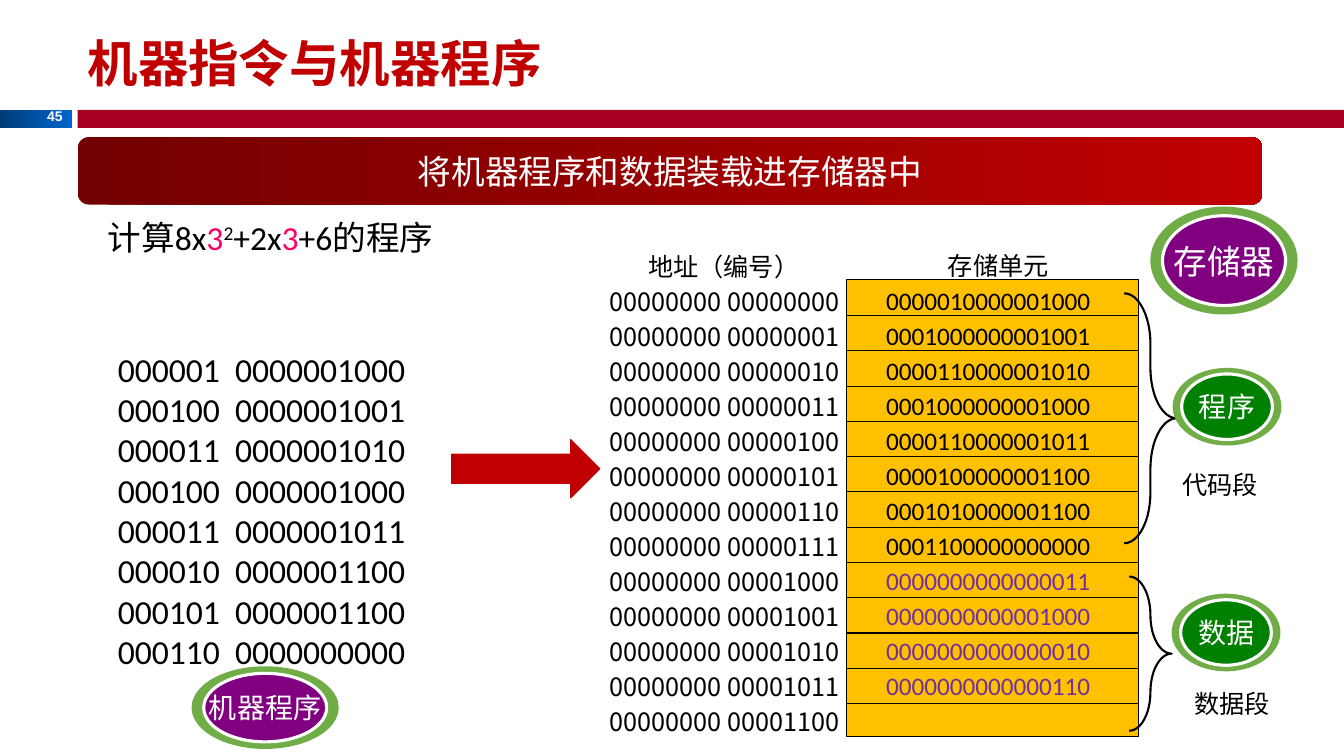
from lxml import etree
from pptx import Presentation
from pptx.dml.color import RGBColor
from pptx.enum.shapes import MSO_CONNECTOR, MSO_SHAPE
from pptx.enum.text import MSO_ANCHOR, MSO_AUTO_SIZE, PP_ALIGN
from pptx.oxml.ns import qn
from pptx.util import Inches, Pt

BLACK = RGBColor(0, 0, 0)
WHITE = RGBColor(255, 255, 255)
RED = RGBColor(0xC0, 0, 0)
CRIMSON = RGBColor(0xA5, 0, 0x21)
PINK = RGBColor(0xFF, 0, 0x66)
GOLD = RGBColor(0xFF, 0xC0, 0)
VIOLET = RGBColor(0x70, 0x30, 0xA0)
PURPLE = RGBColor(0x80, 0, 0x80)
GREEN = RGBColor(0, 0x80, 0)
RING = RGBColor(0x70, 0xAD, 0x47)
BAR_BLUES = [RGBColor(0, 0x3C, 0x79), RGBColor(0, 0x66, 0xCC)]
BANNER_REDS = [RGBColor(0x72, 0, 0), RED]
HAN = "Noto Sans CJK SC"
LATIN = "Calibri"


def add_figure(shapes, kind, place, fill=None, line=None, width=0.75):
    figure = shapes.add_shape(kind, *map(Inches, place))
    figure.shadow.inherit = False
    if isinstance(fill, list):
        figure.fill.gradient()
        figure.fill.gradient_angle = 0
        for stop, color in zip(figure.fill.gradient_stops, fill):
            stop.color.rgb = color
    elif fill is None:
        figure.fill.background()
    else:
        figure.fill.solid()
        figure.fill.fore_color.rgb = fill
    if line is None:
        figure.line.fill.background()
    else:
        figure.line.color.rgb = line
        figure.line.width = Pt(width)
    return figure


def write(frame, lines, size, font=HAN, color=BLACK, align=PP_ALIGN.LEFT,
          spacing=None, bold=False):
    """Each line is a list of (text, changed font values) pairs."""
    for number, spans in enumerate(lines):
        para = frame.add_paragraph() if number else frame.paragraphs[0]
        para.alignment = align
        if spacing:
            para.line_spacing = spacing
        for text, changes in spans:
            span = para.add_run()
            span.text = text
            values = {"size": Pt(size), "name": font, "bold": bold} | changes
            span.font.color.rgb = values.pop("color", color)
            raised = values.pop("raised", False)
            for name, value in values.items():
                setattr(span.font, name, value)
            properties = span.font._element
            etree.SubElement(properties, qn("a:ea")).set("typeface", HAN)
            if raised:
                properties.set("baseline", "30000")


deck = Presentation()
deck.slide_width, deck.slide_height = Inches(13.33), Inches(7.5)
page = deck.slides.add_slide(deck.slide_layouts[5])
shapes = page.shapes

# Header bars and title
add_figure(shapes, MSO_SHAPE.RECTANGLE, (0, 1.09, 0.71, 0.18), BAR_BLUES)
add_figure(shapes, MSO_SHAPE.RECTANGLE, (0.77, 1.09, 12.56, 0.18), CRIMSON)
title = shapes.title
title.left, title.top, title.width, title.height = map(Inches, (0.77, 0.2, 11.67, 0.83))
title.text_frame.auto_size = MSO_AUTO_SIZE.NONE
title.text_frame.vertical_anchor = MSO_ANCHOR.MIDDLE
write(title.text_frame, [[("机器指令与机器程序", {})]], 36, color=RED, bold=True)

# Banner
banner = add_figure(shapes, MSO_SHAPE.ROUNDED_RECTANGLE, (0.77, 1.36, 11.75, 0.67), BANNER_REDS)
banner.text_frame.vertical_anchor = MSO_ANCHOR.MIDDLE
write(banner.text_frame, [[("将机器程序和数据装载进存储器中", {})]], 24,
      color=WHITE, align=PP_ALIGN.CENTER)

# Memory cells with evenly spaced dividers
memory = shapes.add_group_shape().shapes
add_figure(memory, MSO_SHAPE.RECTANGLE, (8.4, 2.77, 2.89, 4.54), GOLD, BLACK)
for row in range(1, 13):
    height = Inches(2.78 + 0.35 * row)
    divider = memory.add_connector(
        MSO_CONNECTOR.STRAIGHT, Inches(8.4), height, Inches(11.29), height)
    divider.line.color.rgb = BLACK
    divider.line.width = Pt(0.75)
    etree.SubElement(divider._element.spPr, qn("a:effectLst"))

# Program words, data words and addresses
program = ["000001  0000001000", "000100  0000001001", "000011  0000001010",
           "000100  0000001000", "000011  0000001011", "000010  0000001100",
           "000101  0000001100", "000110  0000000000"]
data = [3, 8, 2, 6]
cells = [[("存储单元", {"name": HAN})]]
cells += [[(word.replace(" ", ""), {})] for word in program]
cells += [[(f"{value:016b}", {"color": VIOLET})] for value in data]
addresses = [[("地址（编号）", {})]]
addresses += [[(f"{0:08b} {number:08b}", {})] for number in range(13)]
formula = [[("计算8x", {}), ("3", {"color": PINK}), ("2", {"raised": True}),
            ("+2x", {}), ("3", {"color": PINK}), ("+6的程序", {})]]

# Text boxes: place, lines, format
texts = [
    ((0.35, 1.02, 0.37, 0.27), [[("45", {})]],
     {"size": 10, "font": "Arial", "color": WHITE, "align": PP_ALIGN.RIGHT, "bold": True}),
    ((0.97, 1.98, 4.04, 0.58), formula, {"size": 24, "font": LATIN, "spacing": 1.3}),
    ((8.69, 2.39, 2.42, 5.01), cells, {"size": 18, "font": LATIN, "spacing": Pt(25)}),
    ((5.95, 2.4, 2.74, 5.01), addresses, {"size": 18, "spacing": Pt(25)}),
    ((1.07, 3.41, 3.56, 3.33), [[(word, {})] for word in program],
     {"size": 24, "font": LATIN}),
    ((11.63, 4.61, 1.07, 0.44), [[("代码段", {})]], {"size": 18, "font": LATIN}),
    ((11.75, 6.78, 1.07, 0.44), [[("数据段", {})]], {"size": 18, "font": LATIN}),
]
for place, lines, style in texts:
    box = shapes.add_textbox(*map(Inches, place))
    box.text_frame.word_wrap = True
    write(box.text_frame, lines, **style)
    if lines is cells:
        box.text_frame.paragraphs[0].alignment = PP_ALIGN.CENTER
    elif lines is addresses:
        box.text_frame.paragraphs[0]._p.get_or_add_pPr().set("marL", str(Inches(0.38)))

# Arrow and braces
add_figure(shapes, MSO_SHAPE.RIGHT_ARROW, (4.48, 4.36, 1.47, 0.58), RED, RED)
for place in [(11.15, 2.91, 0.52, 2.48), (11.2, 5.72, 0.42, 1.53)]:
    brace = add_figure(shapes, MSO_SHAPE.RIGHT_BRACE, place, None, BLACK, 1.5)
    brace.adjustments[0] = 0.97

# Ringed oval badges: ring place, margins to the oval, label, size, colour
badges = [
    ((1.9, 6.61, 1.46, 0.82), (0.12, 0.07), "机器程序", 20, PURPLE),
    ((11.41, 2.05, 1.46, 1.07), (0.12, 0.09), "存储器", 24, PURPLE),
    ((11.63, 3.65, 1.08, 0.77), (0.09, 0.06), "程序", 20, GREEN),
    ((11.62, 5.89, 1.08, 0.77), (0.09, 0.06), "数据", 20, GREEN),
]
for (left, top, width, height), (side, edge), label, size, color in badges:
    badge = shapes.add_group_shape().shapes
    add_figure(badge, MSO_SHAPE.OVAL, (left, top, width, height), RING)
    inner = (left + side, top + edge, width - 2 * side, height - 2 * edge)
    add_figure(badge, MSO_SHAPE.OVAL, inner, color, WHITE, 2.25)
    box = badge.add_textbox(*map(Inches, (left, inner[1], width, inner[3])))
    box.text_frame.word_wrap = True
    box.text_frame.vertical_anchor = MSO_ANCHOR.MIDDLE
    write(box.text_frame, [[(label, {})]], size, color=WHITE, align=PP_ALIGN.CENTER)

deck.save("out.pptx")
